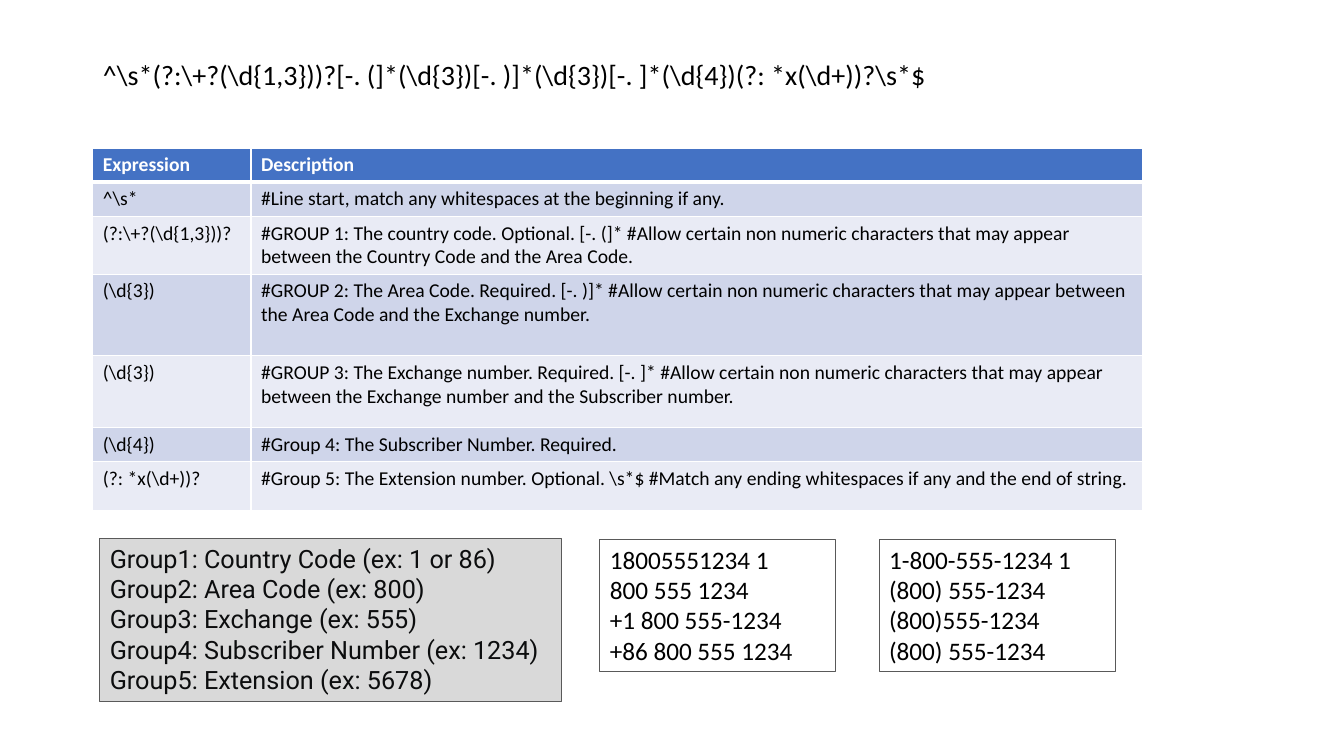
from lxml.etree import SubElement
from pptx import Presentation
from pptx.dml.color import RGBColor
from pptx.enum.shapes import MSO_SHAPE
from pptx.enum.text import MSO_ANCHOR, MSO_AUTO_SIZE, PP_ALIGN
from pptx.oxml.ns import qn
from pptx.util import Inches, Pt

PATTERN = r"^\s*(?:\+?(\d{1,3}))?[-. (]*(\d{3})[-. )]*(\d{3})[-. ]*(\d{4})(?: *x(\d+))?\s*$"

# (row height, expression, description)
TABLE_ROWS = [
    (0.33, "Expression", "Description"),
    (0.34, r"^\s*", "#Line start, match any whitespaces at the beginning if any."),
    (0.57, r"(?:\+?(\d{1,3}))?",
     "#GROUP 1: The country code. Optional. [-. (]* #Allow certain non numeric "
     "characters that may appear between the Country Code and the Area Code."),
    (0.81, r"(\d{3})",
     "#GROUP 2: The Area Code. Required. [-. )]* #Allow certain non numeric "
     "characters that may appear between the Area Code and the Exchange number."),
    (0.71, r"(\d{3})",
     "#GROUP 3: The Exchange number. Required. [-. ]* #Allow certain non numeric "
     "characters that may appear between the Exchange number and the Subscriber number."),
    (0.34, r"(\d{4})", "#Group 4: The Subscriber Number. Required."),
    (0.49, r"(?: *x(\d+))?",
     r"#Group 5: The Extension number. Optional. \s*$ #Match any ending "
     "whitespaces if any and the end of string."),
]
COLUMN_WIDTHS = (1.57, 8.84)
HEADER_FILL = "4472C4"
BAND_FILLS = ("E9EBF5", "CFD5EA")

GROUP_LINES = [
    "Group1: Country Code (ex: 1 or 86)",
    "Group2: Area Code (ex: 800)",
    "Group3: Exchange (ex: 555)",
    "Group4: Subscriber Number (ex: 1234)",
    "Group5: Extension (ex: 5678)",
]
PLAIN_NUMBERS = ["18005551234 1", "800 555 1234", "+1 800 555-1234", "+86 800 555 1234"]
DASHED_NUMBERS = ["1-800-555-1234 1", "(800) 555-1234", "(800)555-1234", "(800) 555-1234"]

# (left, top, width, height), lines, fill, font, font colour
BOXES = [
    ((0.99, 5.34, 4.58, 1.62), GROUP_LINES, "D9D9D9", "Roboto", "0C0D0E"),
    ((5.95, 5.35, 2.34, 1.31), PLAIN_NUMBERS, None, "Calibri", "000000"),
    ((8.72, 5.35, 2.34, 1.31), DASHED_NUMBERS, None, "Calibri", "000000"),
]


def color(value):
    return RGBColor.from_string(value)


def write(text_frame, lines, size=18, font="Calibri", fill="000000", bold=False, spacing=None):
    text_frame.word_wrap = True
    for index, line in enumerate(lines):
        paragraph = text_frame.add_paragraph() if index else text_frame.paragraphs[0]
        paragraph.alignment = PP_ALIGN.LEFT
        paragraph.line_spacing = spacing
        run = paragraph.add_run()
        run.text = line
        run.font.size = Pt(size)
        run.font.name = font
        run.font.bold = bold
        run.font.color.rgb = color(fill)


def add_white_borders(cell, top, bottom):
    properties = cell._tc.get_or_add_tcPr()
    for side, width in (("L", 1), ("R", 1), ("T", top), ("B", bottom)):
        line = SubElement(properties, qn(f"a:ln{side}"), w=str(Pt(width)))
        SubElement(SubElement(line, qn("a:solidFill")), qn("a:srgbClr"), val="FFFFFF")


def add_expression_table(slide):
    height = sum(row[0] for row in TABLE_ROWS)
    table = slide.shapes.add_table(
        len(TABLE_ROWS), len(COLUMN_WIDTHS), Inches(0.92), Inches(1.47),
        Inches(sum(COLUMN_WIDTHS)), Inches(height)).table
    for column, width in zip(table.columns, COLUMN_WIDTHS):
        column.width = Inches(width)
    for index, (row_height, *texts) in enumerate(TABLE_ROWS):
        is_header = index == 0
        table.rows[index].height = Inches(row_height)
        for cell, text in zip(table.rows[index].cells, texts):
            add_white_borders(cell, top=3 if index == 1 else 1, bottom=3 if is_header else 1)
            cell.fill.solid()
            cell.fill.fore_color.rgb = color(HEADER_FILL if is_header else BAND_FILLS[index % 2])
            write(cell.text_frame, [text], size=14, bold=is_header,
                  fill="FFFFFF" if is_header else "000000")


def add_box(slide, position, lines, fill, font, font_color):
    box = slide.shapes.add_shape(MSO_SHAPE.RECTANGLE, *map(Inches, position))
    box.shadow.inherit = False
    if fill:
        box.fill.solid()
        box.fill.fore_color.rgb = color(fill)
    else:
        box.fill.background()
    box.line.color.rgb = color("595959")
    box.line.width = Pt(0.75)
    box.text_frame.vertical_anchor = MSO_ANCHOR.TOP
    box.text_frame.auto_size = MSO_AUTO_SIZE.SHAPE_TO_FIT_TEXT
    write(box.text_frame, lines, font=font, fill=font_color)


def main():
    presentation = Presentation()
    presentation.slide_width = Inches(13.33)
    presentation.slide_height = Inches(7.5)
    slide = presentation.slides.add_slide(presentation.slide_layouts[5])

    title = slide.shapes.title
    title.left, title.top, title.width, title.height = map(Inches, (0.92, 0.4, 11.5, 0.71))
    title.text_frame.vertical_anchor = MSO_ANCHOR.MIDDLE
    title.text_frame.auto_size = MSO_AUTO_SIZE.NONE
    write(title.text_frame, [PATTERN], size=20, spacing=0.9)

    add_expression_table(slide)
    for box in BOXES:
        add_box(slide, *box)
    presentation.save("out.pptx")


if __name__ == "__main__":
    main()
